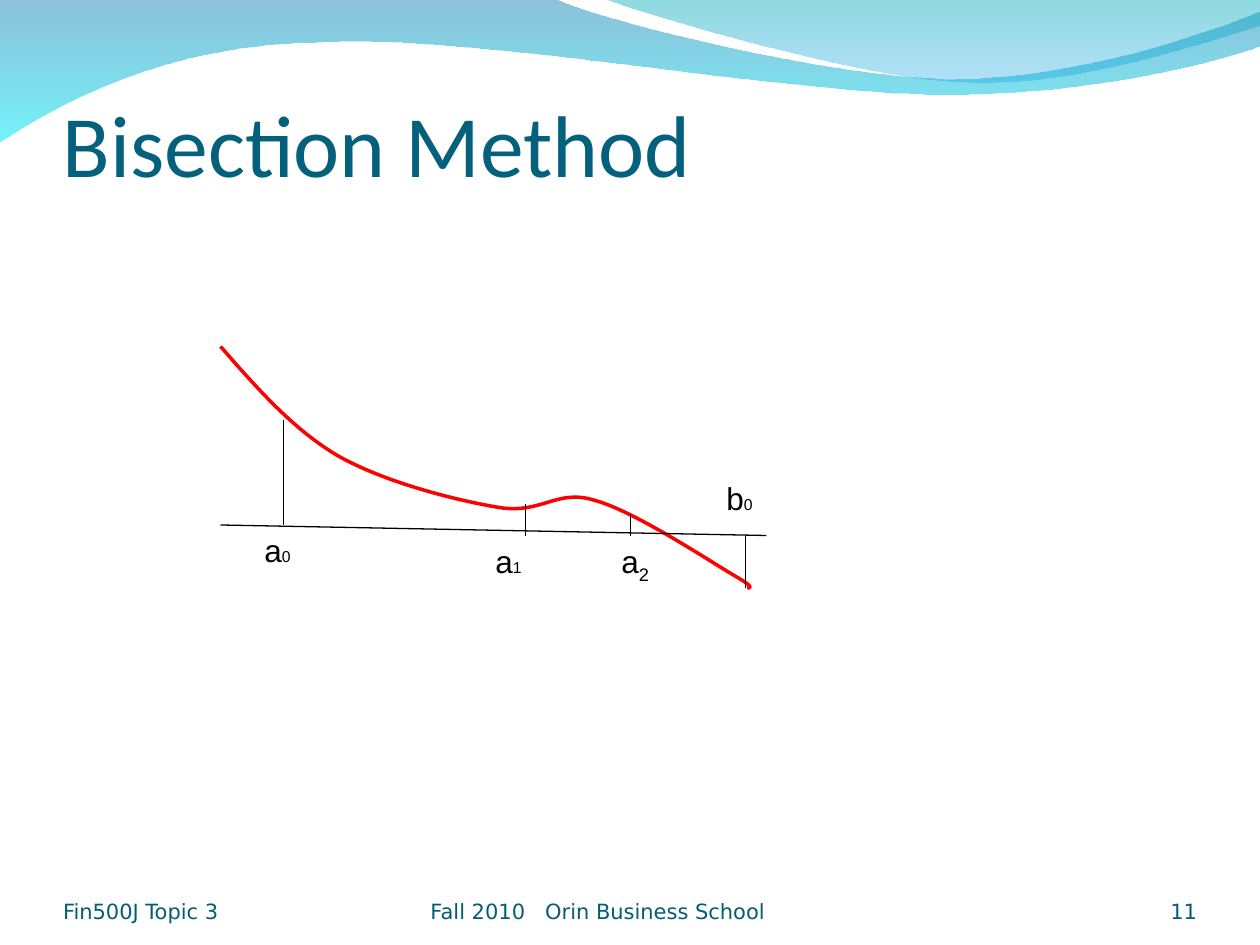
from pptx import Presentation
from pptx.dml.color import RGBColor
from pptx.enum.shapes import MSO_CONNECTOR
from pptx.enum.text import MSO_ANCHOR, MSO_AUTO_SIZE, PP_ALIGN
from pptx.oxml.ns import qn
from pptx.util import Pt
from lxml.etree import SubElement

WAVES = [
    ([(0, -0.7), (317, -0.7), (343, 12, 478, 45, 546, 45),
      (614, 45, 690, 19, 720, 6.5), (720.7, 26),
      (708, 32, 626, 55, 537, 54), (448, 54, 275, 20, 185, 24.2),
      (93, 25, 33, 60, -0.7, 81.4)],
     [("0079AF", 45), ("00EBF8", 55)]),
    ([(345, -0.7), (367, 8, 491, 45, 554, 47),
      (616, 49.7, 692, 23, 720, 15), (720, 0)],
     [("00ADB6", 45), ("009BE5", 30)]),
]
CURVE = [(0, 0), (21, 24, 42, 48, 68, 63), (95, 78, 135, 88, 159, 92),
         (184, 96, 192, 81, 214, 88), (236, 94, 277, 121, 292, 130),
         (306, 138, 303, 138, 301, 138)]
LINES = [(0, 102, 312, 108), (36, 42, 36, 102), (300, 108, 300, 138),
         (174.2, 90, 174.2, 108), (234.2, 108, 234.2, 96)]
LABELS = [("a", "0", 18, 102), ("b", "0", 282, 72), ("a", "1", 150, 108)]


def color(code):
    return RGBColor.from_string(code)


def outline(slide, left, top, route, close):
    dots = [(part[i] * 100, part[i + 1] * 100)
            for part in route for i in range(0, len(part), 2)]
    form = slide.shapes.build_freeform(*dots[0], scale=Pt(0.01))
    form.add_line_segments(dots[1:], close=close)
    shape = form.convert_to_shape(Pt(left), Pt(top))
    shape.shadow.inherit = False
    edges = iter(list(shape.element.iter(qn("a:lnTo"))))
    for part in route[1:]:
        edge = next(edges)
        if len(part) == 6:
            edge.tag = qn("a:cubicBezTo")
            for other in (next(edges), next(edges)):
                edge.append(other[0])
                other.getparent().remove(other)
    return shape


def text(slide, words, left, top, width, height, size=12, font="DejaVu Sans",
         ink="045C75", align=PP_ALIGN.LEFT, anchor=MSO_ANCHOR.BOTTOM,
         inset=(0, 0, 0, 0), sub=None, small=9, drop=0, tab=None,
         before=0, fit=MSO_AUTO_SIZE.NONE):
    box = slide.shapes.add_textbox(Pt(left), Pt(top), Pt(width), Pt(height))
    frame = box.text_frame
    frame.word_wrap = True
    frame.auto_size = fit
    frame.vertical_anchor = anchor
    (frame.margin_left, frame.margin_top,
     frame.margin_right, frame.margin_bottom) = map(Pt, inset)
    para = frame.paragraphs[0]
    para.alignment = align
    if before:
        para.space_before = Pt(before)
    for part, points in [(words, size), (sub, small)]:
        if part:
            run = para.add_run()
            run.text = part
            run.font.size = Pt(points)
            run.font.name = font
            run.font.color.rgb = color(ink)
    if drop:
        list(box.element.iter(qn("a:rPr")))[-1].set("baseline", str(drop))
    if tab:
        stops = SubElement(next(box.element.iter(qn("a:pPr"))), qn("a:tabLst"))
        SubElement(stops, qn("a:tab"), pos=str(Pt(tab)), algn="l")


def banner(slide, left, top):
    for route, stops in WAVES:
        wave = outline(slide, left, top, route, True)
        wave.line.fill.background()
        wave.fill.gradient()
        wave.fill.gradient_angle = 270
        for place, (stop, (code, share)) in enumerate(
                zip(wave.fill.gradient_stops, stops)):
            stop.position = place
            stop.color.rgb = color(code)
        for tint, (code, share) in zip(wave.element.iter(qn("a:srgbClr")), stops):
            SubElement(tint, qn("a:alpha"), val=str(share * 1000))


def title(slide, left, top, width, height):
    text(slide, "Bisection Method", left, top, width, height,
         size=50, font="Calibri", ink="04617B", inset=(0, 3.6, 0, 0))


def graph(slide, left, top):
    curve = outline(slide, left, top, CURVE, False)
    curve.fill.background()
    curve.line.color.rgb = color("FF0000")
    curve.line.width = Pt(2)
    for x1, y1, x2, y2 in LINES:
        line = slide.shapes.add_connector(
            MSO_CONNECTOR.STRAIGHT, Pt(left + x1), Pt(top + y1),
            Pt(left + x2), Pt(top + y2))
        line.line.color.rgb = color("000000")
        line.line.width = Pt(0.75)
        SubElement(line.element.find(qn("p:spPr")), qn("a:effectLst"))
    style = dict(size=18, font="Arial", ink="000000",
                 anchor=MSO_ANCHOR.TOP, inset=(7.2, 3.6, 7.2, 3.6),
                 fit=MSO_AUTO_SIZE.SHAPE_TO_FIT_TEXT)
    for name, sub, x, y in LABELS:
        text(slide, name, left + x, top + y, 54, 29, sub=sub,
             before=5.6, **style)
    text(slide, "a", left + 222, top + 108, 36, 31.5,
         sub="2", small=18, drop=-25000, before=11.2, **style)


def footer(slide, left, top, width, height):
    text(slide, "Fin500J Topic 3", left, top, 168, height)
    text(slide, "Fall 2010\tOrin Business School", left + 210, top, 228, height,
         tab=65.5)
    text(slide, "11", left + width - 168, top, 168, height,
         align=PP_ALIGN.RIGHT)


def main():
    deck = Presentation()
    deck.slide_width, deck.slide_height = Pt(720), Pt(540)
    slide = deck.slides.add_slide(deck.slide_layouts[6])
    banner(slide, 0, 0)
    title(slide, 36, 21.6, 648, 90)
    footer(slide, 36, 492, 648, 36)
    graph(slide, 126, 198)
    deck.save("out.pptx")


if __name__ == "__main__":
    main()
